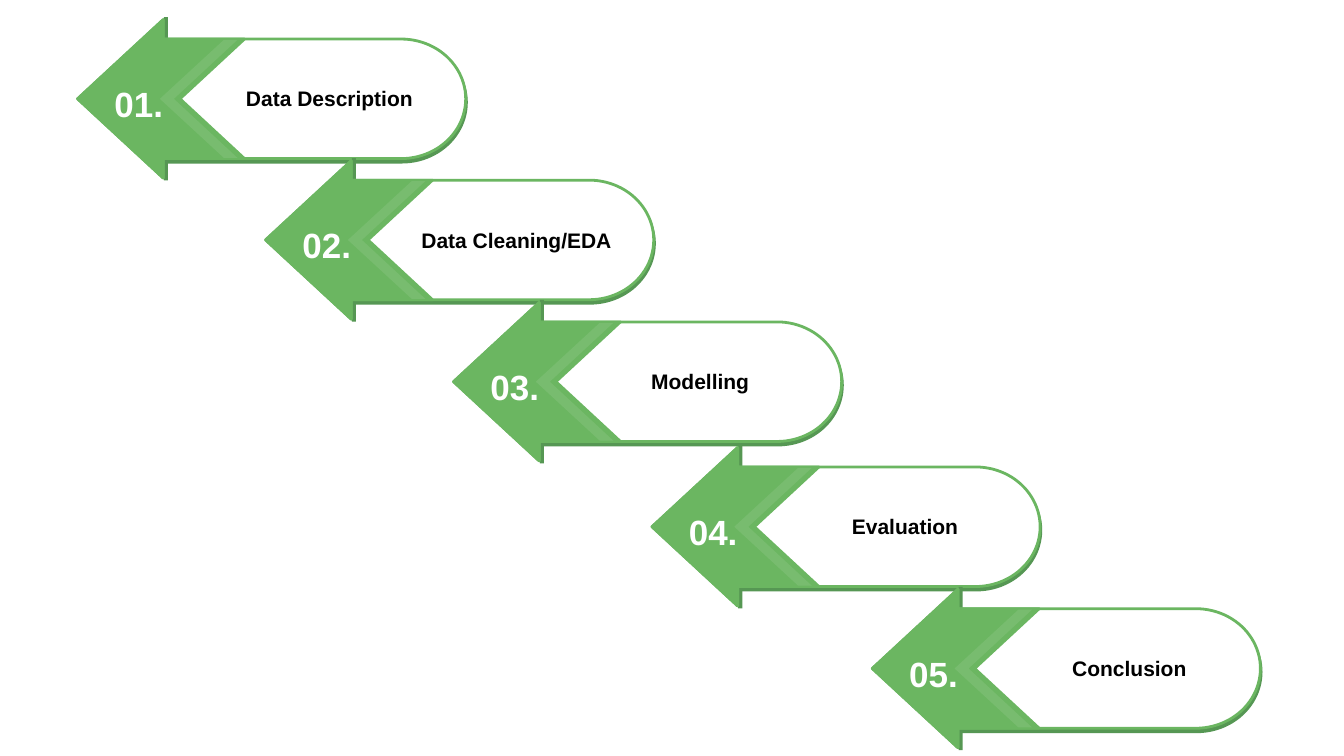
import math
from lxml import etree
from pptx import Presentation
from pptx import util as u
from pptx.dml.color import RGBColor
from pptx.enum import shapes, text
from pptx.oxml.ns import qn

COLORS = {"green": "6BB661", "shade": "569753", "shade_edge": "569754",
          "white": "FFFFFF", "black": "000000"}
STEPS = [
    {"title": "Data Description", "at": (110.9, 28.1), "title_dx": 236.2, "title_width": 305.3},
    {"title": "Data Cleaning/EDA", "at": (379.5, 229.7), "title_dx": 218.2, "title_width": 354.2},
    {"title": "Modelling", "at": (648, 432.2), "title_dx": 278, "title_width": 255.6},
    {"title": "Evaluation", "at": (931.5, 639.4), "title_dx": 281.2, "title_width": 255.6},
    {"title": "Conclusion", "at": (1246.2, 841.9), "title_dx": 281.2, "title_width": 255.6},
]

HEIGHT, MID = 226.2, 113.1
SHAFT_X, SHAFT_TOP, SHAFT_BOTTOM = 122.3, 27.7, 198.5
CAP_X, CAP_RX, CAP_RY = 462.2, 92.2, (SHAFT_BOTTOM - SHAFT_TOP) / 2
ARC_STEPS = 48

CAP = [(CAP_X + CAP_RX * math.cos(a), MID + CAP_RY * math.sin(a))
       for a in (math.pi * (0.5 - i / ARC_STEPS) for i in range(ARC_STEPS + 1))]
TIP = [(SHAFT_X, SHAFT_TOP), (SHAFT_X, 0), (0, MID), (SHAFT_X, HEIGHT), (SHAFT_X, SHAFT_BOTTOM)]
ARROW = TIP + CAP
HEAD = TIP + [(238.3, SHAFT_BOTTOM), (146.2, MID), (238.3, SHAFT_TOP)]
UNDERLAY = [(x + 1, y + 5) for x, y in [(SHAFT_X, SHAFT_TOP), (SHAFT_X, SHAFT_BOTTOM)] + CAP]
GLOSS = [(228.2, 28.9), (208.8, 28.9), (117.5, MID), (208.8, 197.3), (228.2, 197.3), (137.5, MID)]


def paint(shape, fill, line=None, alpha=None):
    shape.shadow.inherit = False
    shape.fill.solid()
    shape.fill.fore_color.rgb = RGBColor.from_string(COLORS[fill])
    if alpha is not None:
        color = shape.fill._xPr.find(qn("a:solidFill"))[0]
        etree.SubElement(color, qn("a:alpha")).set("val", str(alpha * 1000))
    if line:
        shape.line.color.rgb = RGBColor.from_string(COLORS[line])
        shape.line.width = u.Pt(4)
    else:
        shape.line.fill.background()


def outline(parts, origin, points, **look):
    placed = [(u.Pt(origin[0] + x), u.Pt(origin[1] + y)) for x, y in points]
    builder = parts.build_freeform(*placed[0], scale=1.0)
    builder.add_line_segments(placed[1:], close=True)
    paint(builder.convert_to_shape(), **look)


def write(parts, words, left, top, width, height, size, color):
    frame = parts.add_textbox(u.Pt(left), u.Pt(top), u.Pt(width), u.Pt(height)).text_frame
    frame.word_wrap = True
    frame.vertical_anchor = text.MSO_ANCHOR.MIDDLE
    frame.margin_left = frame.margin_right = u.Pt(4.3)
    frame.margin_top = frame.margin_bottom = u.Pt(4.3)
    run = frame.paragraphs[0].add_run()
    run.text = words
    run.font.name = "Arial"
    run.font.size = u.Pt(size)
    run.font.bold = True
    run.font.color.rgb = RGBColor.from_string(COLORS[color])


def add_step(slide, number, step):
    parts = slide.shapes.add_group_shape().shapes
    x, y = step["at"]
    fold = parts.add_shape(shapes.MSO_SHAPE.RECTANGLE,
                           u.Pt(x + 123.1), u.Pt(y - 3.6), u.Pt(5.8), u.Pt(233.3))
    paint(fold, "shade")
    outline(parts, (x, y), UNDERLAY, fill="shade", line="shade_edge")
    outline(parts, (x, y), ARROW, fill="white", line="green")
    outline(parts, (x, y), HEAD, fill="green", line="green")
    outline(parts, (x, y), GLOSS, fill="white", alpha=9)
    write(parts, step["title"], x + step["title_dx"], y + 87.1,
          step["title_width"], 51.1, size=30, color="black")
    write(parts, f"{number:02d}.", x + 48.2, y + 90, 93.6, 59.8, size=50, color="white")


def main():
    deck = Presentation()
    deck.slide_width, deck.slide_height = u.Pt(1920), u.Pt(1080)
    slide = deck.slides.add_slide(deck.slide_layouts[6])
    for number, step in enumerate(STEPS, 1):
        add_step(slide, number, step)
    deck.save("out.pptx")


if __name__ == "__main__":
    main()
